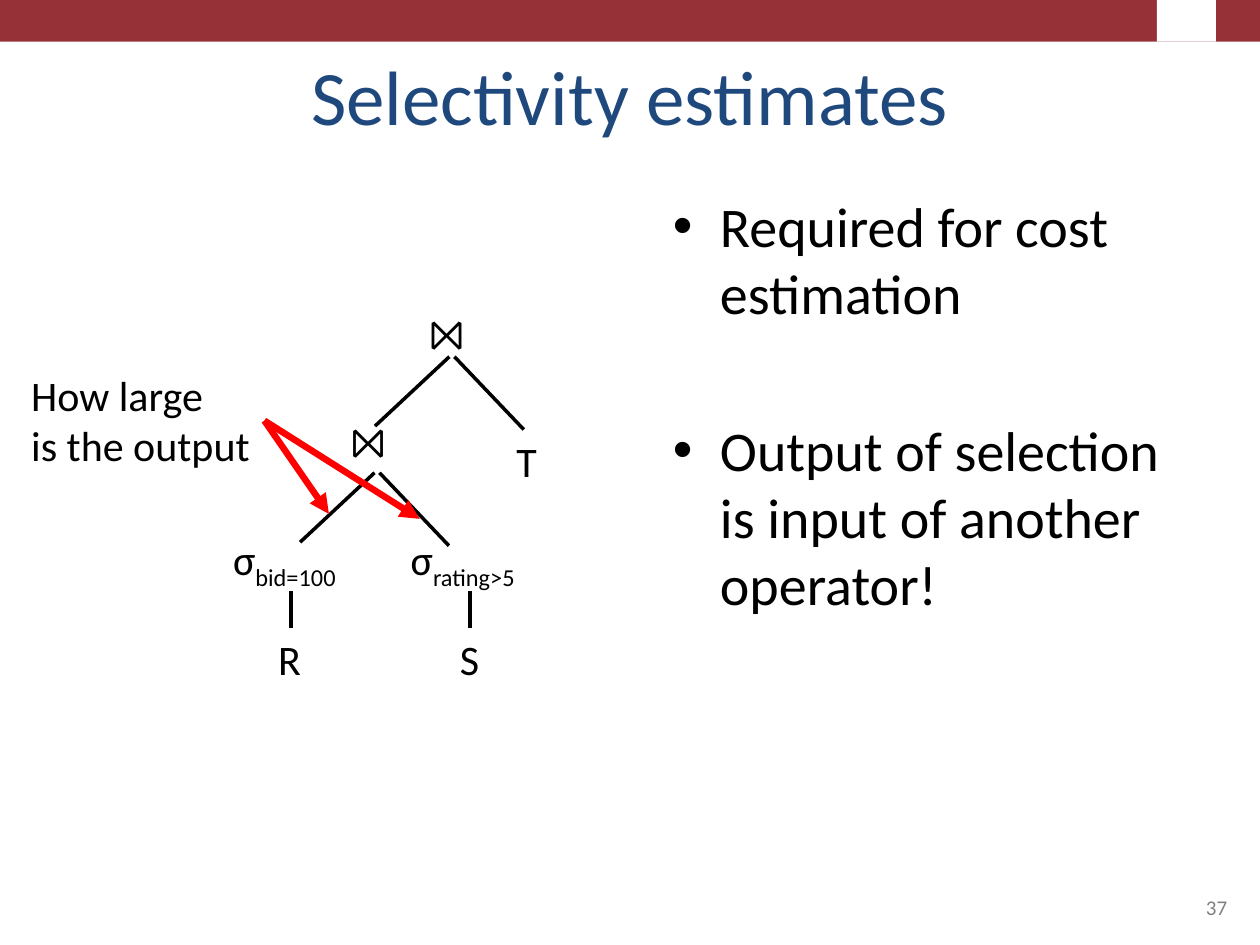
"""Build the slide on selectivity estimates with its query plan tree."""
from lxml import etree
from pptx import Presentation
from pptx.dml.color import RGBColor
from pptx.enum.shapes import MSO_CONNECTOR, MSO_SHAPE
from pptx.enum.text import MSO_ANCHOR, MSO_AUTO_SIZE, PP_ALIGN
from pptx.oxml.ns import qn
from pptx.util import Cm, Pt

STRAIGHT, RECT = MSO_CONNECTOR.STRAIGHT, MSO_SHAPE.RECTANGLE
BOTTOM, TOP = MSO_ANCHOR.BOTTOM, MSO_ANCHOR.TOP
LEFT, CENTER, RIGHT = PP_ALIGN.LEFT, PP_ALIGN.CENTER, PP_ALIGN.RIGHT
NO_FIT = MSO_AUTO_SIZE.NONE

COLORS = {"banner": "963237", "title": "1F497D", "text": "000000",
          "number": "808080", "arrow": "FF0000", "badge": "FFFFFF"}
FORMATS = {
    "title": {"size": Pt(44), "name": "Calibri"},
    "body": {"size": Pt(32), "name": "Calibri"},
    "label": {"size": Pt(24), "name": "Calibri"},
    "number": {"size": Pt(12), "name": "Calibri"},
}

TITLE = "Selectivity estimates"
BULLETS = ["Required for cost estimation",
           "Output of selection is input of another operator!"]
QUESTION = ["How large", "is the output"]
NUMBER = "37"
BARS = [("banner", 0, 25.4), ("badge", 23.32, 1.19)]
BAR_H = 0.84

# text, subscript, left, top, width
NODES = [
    ("R", "", 5.36, 12.65, 0.97),
    ("S", "", 9.02, 12.65, 0.91),
    ("σ", "bid=100", 4.45, 10.64, 2.84),
    ("σ", "rating>5", 8.03, 10.64, 2.9),
    ("⨝", "", 6.83, 8.26, 1.4),
    ("⨝", "", 8.41, 6.07, 1.4),
    ("T", "", 10.16, 8.66, 0.94),
]
NODE_H = 1.27
STEMS, STEM_TOP, STEM_BOTTOM = [5.87, 9.47], 11.91, 12.65
APEXES = [(7.6, 9.53), (9.11, 7.19)]
LEGS = [(-0.05, -1.5, 1.4), (0.05, 1.4, 1.47)]
ARROW_START = (5.33, 8.48)
ARROW_ENDS = [(6.63, 10.36), (8.46, 10.46)]


def rgb(key):
    return RGBColor.from_string(COLORS[key])


def add_run(p, text, style, color="text"):
    r = p.add_run()
    r.text = text
    for name, value in FORMATS[style].items():
        setattr(r.font, name, value)
    r.font.color.rgb = rgb(color)
    return r


def set_frame(sp, box, anchor=TOP, wrap=True):
    for name, value in zip(("left", "top", "width", "height"), box):
        setattr(sp, name, Cm(value))
    tf = sp.text_frame
    for name, value in {"word_wrap": wrap, "auto_size": NO_FIT,
                        "vertical_anchor": anchor}.items():
        setattr(tf, name, value)
    return tf


def add_text(s, box, lines, style, color="text", align=LEFT, anchor=TOP, wrap=False):
    sp = s.shapes.add_textbox(*map(Cm, box))
    tf = set_frame(sp, box, anchor, wrap)
    for i, line in enumerate(lines):
        p = tf.add_paragraph() if i else tf.paragraphs[0]
        p.alignment = align
        add_run(p, line, style, color)
    return tf.paragraphs[0]


def add_line(s, start, end, color="text", width=2, arrow=False):
    sp = s.shapes.add_connector(STRAIGHT, *map(Cm, (*start, *end)))
    sp.line.color.rgb = rgb(color)
    sp.line.width = Pt(width)
    if arrow:
        etree.SubElement(sp.line._get_or_add_ln(), qn("a:tailEnd"), type="triangle")
    etree.SubElement(sp._element.spPr, qn("a:effectLst"))


def add_bullets(sp):
    tf = set_frame(sp, (13.31, 3.73, 10.82, 13.28))
    for i, text in enumerate(BULLETS):
        p = tf.add_paragraph() if i else tf.paragraphs[0]
        pPr = p._p.get_or_add_pPr()
        pPr.set("marL", str(Cm(0.95)))
        pPr.set("indent", str(-Cm(0.95)))
        etree.SubElement(pPr, qn("a:buFont"), typeface="Arial")
        etree.SubElement(pPr, qn("a:buChar"), char="•")
        p.space_before = Pt(51 if i else 0)
        add_run(p, text, "body")


def add_tree(s):
    for text, sub, left, top, width in NODES:
        p = add_text(s, (left, top, width, NODE_H), [text], "label")
        if sub:
            r = add_run(p, sub, "label")
            r._r.get_or_add_rPr().set("baseline", "-25000")
    for x in STEMS:
        add_line(s, (x, STEM_BOTTOM), (x, STEM_TOP))
    for x, y in APEXES:
        for gap, dx, dy in LEGS:
            add_line(s, (x + gap, y), (x + gap + dx, y + dy))
    for end in ARROW_ENDS:
        add_line(s, ARROW_START, end, "arrow", 3.75, True)


def main():
    prs = Presentation()
    prs.slide_width, prs.slide_height = Cm(25.4), Cm(19.05)
    s = prs.slides.add_slide(prs.slide_layouts[1])
    for color, left, width in BARS:
        sp = s.shapes.add_shape(RECT, Cm(left), 0, Cm(width), Cm(BAR_H))
        sp.shadow.inherit = False
        sp.fill.solid()
        sp.fill.fore_color.rgb = rgb(color)
        sp.line.fill.background()
    tf = set_frame(s.shapes.title, (1.27, 0.76, 22.86, 2.21), BOTTOM)
    p = tf.paragraphs[0]
    p.alignment = CENTER
    add_run(p, TITLE, "title", "title")
    add_bullets(s.placeholders[1])
    add_text(s, (18.21, 17.35, 6.78, 1.32), [NUMBER], "number", "number",
             RIGHT, BOTTOM, True)
    add_text(s, (0.38, 7.32, 4.95, 2.31), QUESTION, "label")
    add_tree(s)
    prs.save("out.pptx")


if __name__ == "__main__":
    main()
